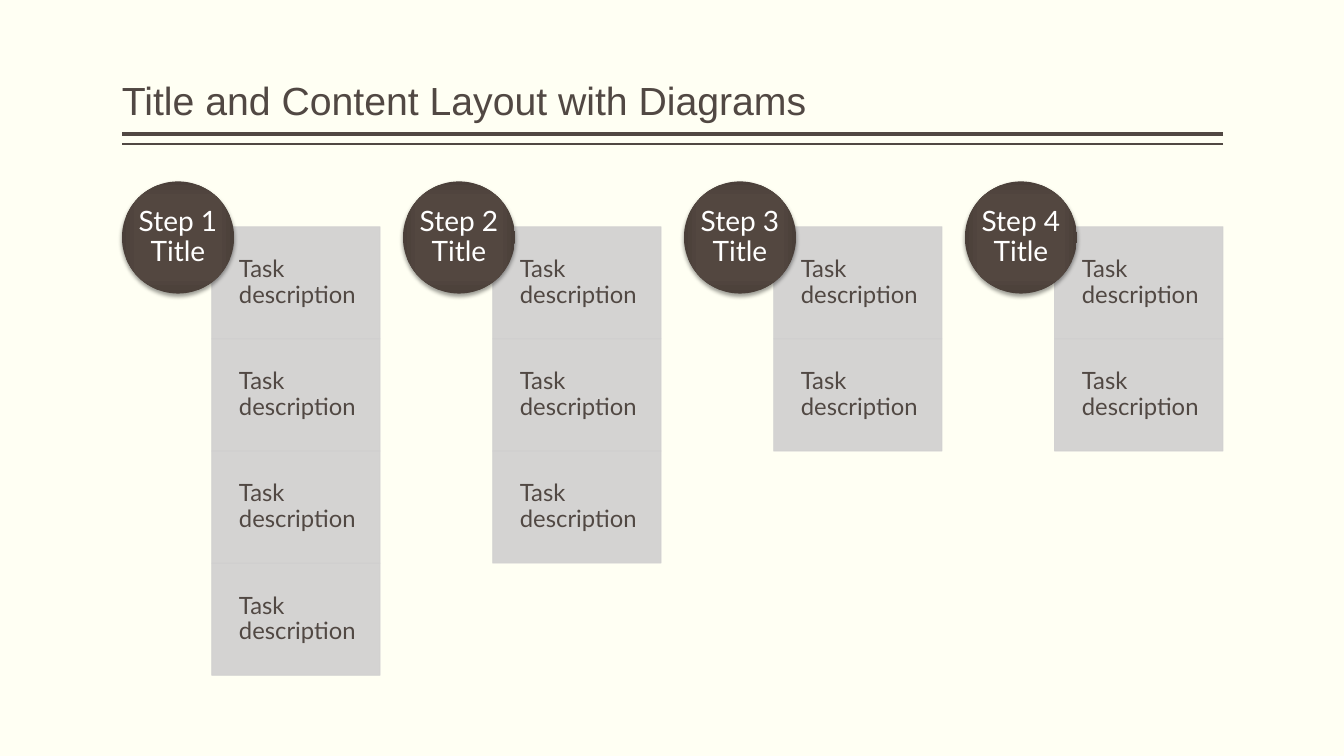
from pptx import Presentation
from pptx.dml.color import RGBColor
from pptx.enum import shapes, text
from pptx.oxml import parse_xml
from pptx.oxml.ns import nsdecls, qn
from pptx.util import Inches, Pt
from lxml import etree

TITLE = "Title and Content Layout with Diagrams"
STEPS = [
    ("Step 1 Title", ["Task description"] * 4),
    ("Step 2 Title", ["Task description"] * 3),
    ("Step 3 Title", ["Task description"] * 2),
    ("Step 4 Title", ["Task description"] * 2),
]
RULES = [(1.33, 3), (1.43, 1)]

CREAM = RGBColor(0xFF, 0xFF, 0xF3)
BROWN = RGBColor(0x51, 0x48, 0x43)
GREY = RGBColor(0xD0, 0xCF, 0xCF)
WHITE = RGBColor(0xFF, 0xFF, 0xFF)
CIRCLE_STOPS = [
    (0, RGBColor(0x54, 0x47, 0x40)),
    (71, RGBColor(0x53, 0x47, 0x40)),
    (100, RGBColor(0x4A, 0x3F, 0x39)),
]

LEFT, RIGHT = 1.21, 12.13
CIRCLE_TOP = 1.8
TASK_TOP, TASK_BOTTOM = 2.25, 6.7
TASK_INDENT, TASK_WIDTH = 0.89, 1.67
ROW_HEIGHT = (TASK_BOTTOM - TASK_TOP) / max(len(tasks) for _, tasks in STEPS)
COLUMN_PITCH = (RIGHT - LEFT - TASK_INDENT - TASK_WIDTH) / (len(STEPS) - 1)


def write(shape, words, size, font, color, align, anchor, insets):
    frame = shape.text_frame
    frame.text = words
    frame.word_wrap = True
    frame.auto_size = text.MSO_AUTO_SIZE.NONE
    frame.vertical_anchor = anchor
    (frame.margin_left, frame.margin_top,
     frame.margin_right, frame.margin_bottom) = map(Inches, insets)
    para = frame.paragraphs[0]
    para.alignment = align
    para.line_spacing = 0.9
    span = para.runs[0]
    span.font.size = Pt(size)
    span.font.name = font
    span.font.color.rgb = color


def add_rule(page, top, weight):
    rule = page.shapes.add_connector(
        shapes.MSO_CONNECTOR.STRAIGHT,
        Inches(RIGHT), Inches(top), Inches(LEFT), Inches(top))
    rule.line.color.rgb = BROWN
    rule.line.width = Pt(weight)
    etree.SubElement(rule.element.spPr, qn("a:effectLst"))


def add_task(page, left, top, words):
    box = page.shapes.add_shape(
        shapes.MSO_SHAPE.RECTANGLE,
        Inches(left), Inches(top), Inches(TASK_WIDTH), Inches(ROW_HEIGHT))
    box.shadow.inherit = False
    box.fill.solid()
    box.fill.fore_color.rgb = GREY
    box.line.color.rgb = GREY
    box.line.width = Pt(0.5)
    for color in box.element.spPr.iter(qn("a:srgbClr")):
        etree.SubElement(color, qn("a:alpha"), val="90000")
    write(box, words, 17, "Lato", BROWN, text.PP_ALIGN.LEFT,
          text.MSO_ANCHOR.MIDDLE, (0.27, 0.13, 0.13, 0.13))


def add_circle(page, left, words):
    circle = page.shapes.add_shape(
        shapes.MSO_SHAPE.OVAL,
        Inches(left), Inches(CIRCLE_TOP), Inches(ROW_HEIGHT), Inches(ROW_HEIGHT))
    circle.line.fill.background()
    circle.shadow.inherit = False
    stops = "".join(
        f'<a:gs pos="{place * 1000}"><a:srgbClr val="{color}"/></a:gs>'
        for place, color in CIRCLE_STOPS)
    gradient = parse_xml(
        f'<a:gradFill {nsdecls("a")} rotWithShape="1"><a:gsLst>{stops}</a:gsLst>'
        '<a:path path="rect"><a:fillToRect l="50000" t="50000" r="50000" b="50000"/>'
        '</a:path></a:gradFill>')
    shadow = parse_xml(
        f'<a:outerShdw {nsdecls("a")} blurRad="{Pt(3.1)}" dist="{Pt(2)}" dir="5400000"'
        ' rotWithShape="0"><a:srgbClr val="000000"><a:alpha val="38000"/></a:srgbClr>'
        '</a:outerShdw>')
    properties = circle.element.spPr
    properties.find(qn("a:prstGeom")).addnext(gradient)
    properties.find(qn("a:effectLst")).append(shadow)
    write(circle, words, 20, "Lato", WHITE, text.PP_ALIGN.CENTER,
          text.MSO_ANCHOR.MIDDLE, (0, 0, 0, 0))


def main():
    deck = Presentation()
    deck.slide_width, deck.slide_height = Inches(13.33), Inches(7.5)
    page = deck.slides.add_slide(deck.slide_layouts[5])
    page.background.fill.solid()
    page.background.fill.fore_color.rgb = CREAM

    title = page.shapes.title
    title.left, title.top = Inches(LEFT), Inches(0.08)
    title.width, title.height = Inches(RIGHT - LEFT), Inches(1.2)
    write(title, TITLE, 28, "Arial", BROWN, text.PP_ALIGN.LEFT,
          text.MSO_ANCHOR.BOTTOM, (0, 0.05, 0, 0.05))

    for top, weight in RULES:
        add_rule(page, top, weight)

    for column, (step, tasks) in enumerate(STEPS):
        left = LEFT + column * COLUMN_PITCH
        for row, task in enumerate(tasks):
            add_task(page, left + TASK_INDENT, TASK_TOP + row * ROW_HEIGHT, task)
        add_circle(page, left, step)

    deck.save("out.pptx")


if __name__ == "__main__":
    main()
